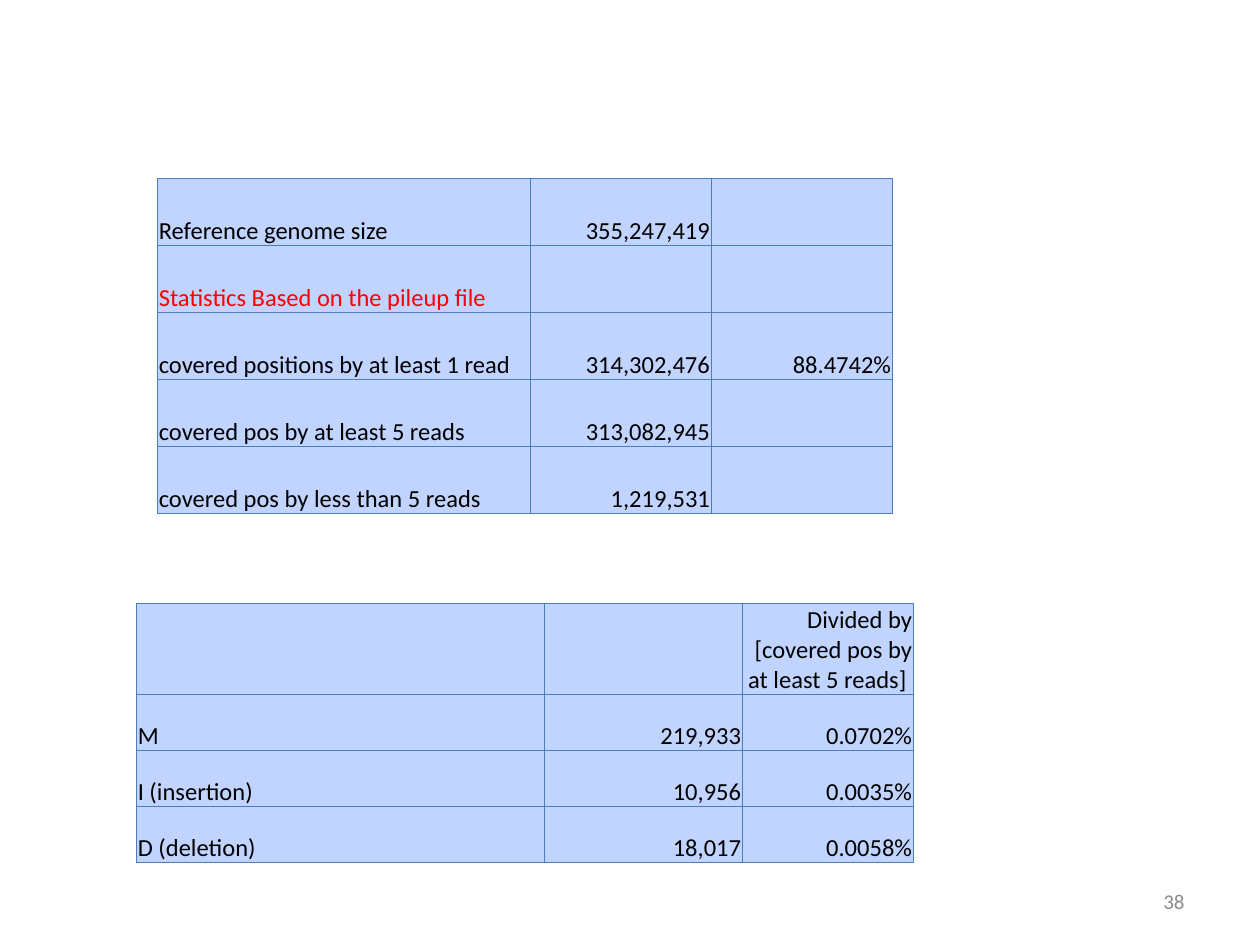
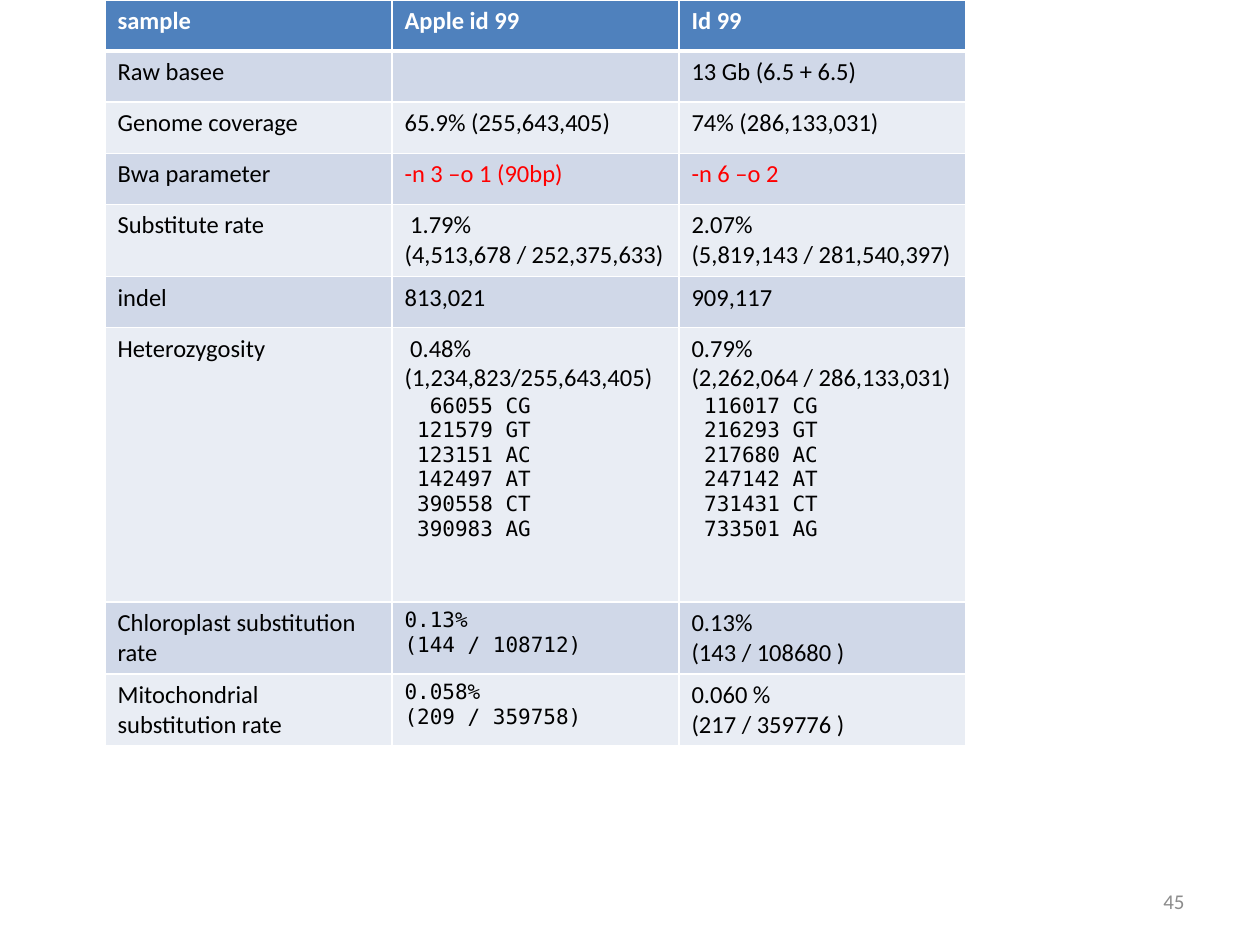
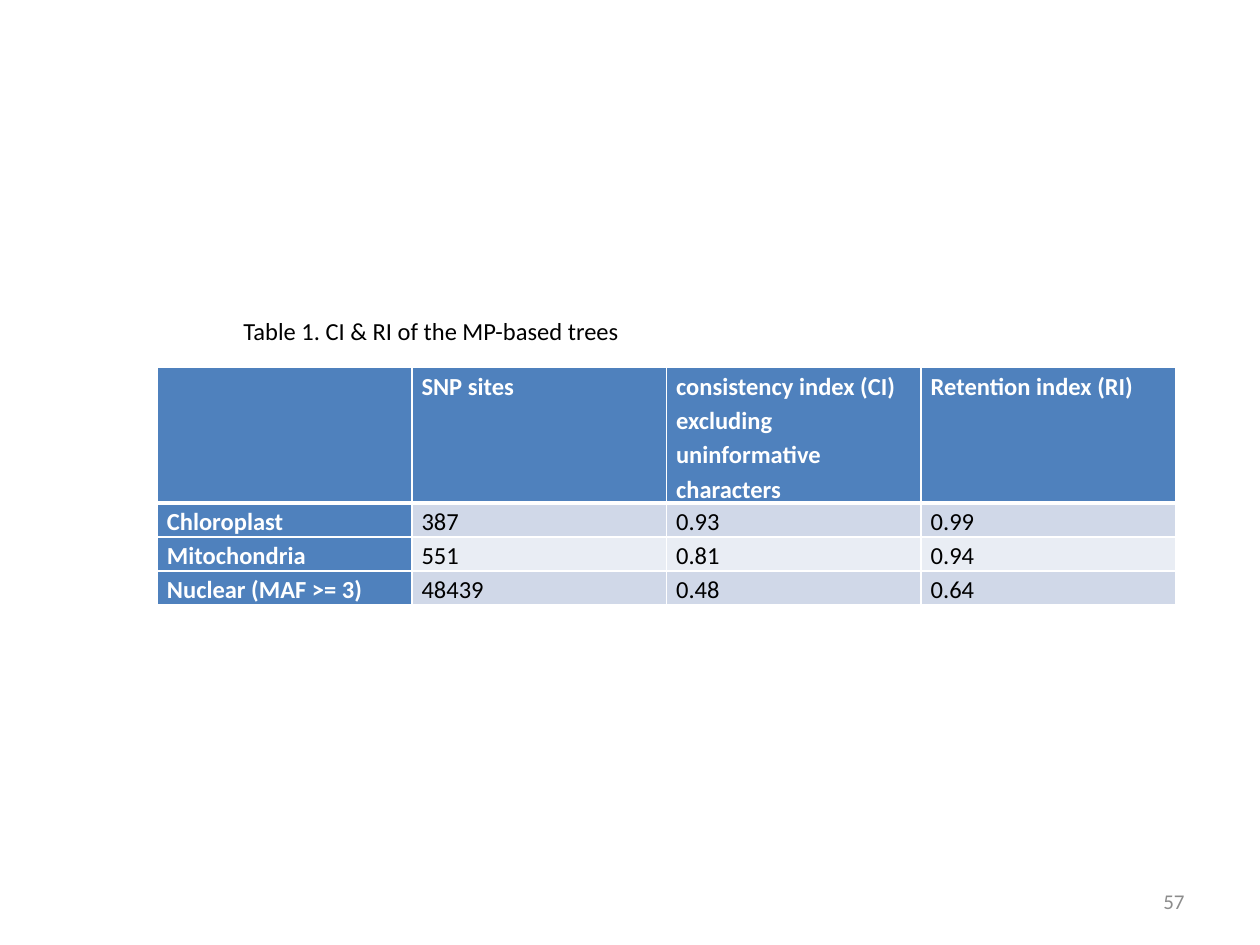
import pptx
import pptx.util
import pptx.dml.color
import pptx.enum.text
import pptx.oxml.ns
import lxml.etree

Pt = pptx.util.Pt
RGB = pptx.dml.color.RGBColor.from_string
Align = pptx.enum.text.PP_ALIGN
Anchor = pptx.enum.text.MSO_ANCHOR
tag = pptx.oxml.ns.qn

HUE = {"ink": "000000", "white": "FFFFFF", "red": "FF0000", "grey": "8C8C8C",
       "head": "4F81BD", "dark": "D0D8E8", "light": "E9EDF4",
       "pale": "C0D4FF", "edge": "4B7EBC"}
MONO = 7.22  # width of one mono letter at 12 pt


def write(frame, text, hue="ink", bold=False, size=14, align=Align.LEFT, gap=None, mono=99):
    """Fill a frame line by line; lines from index mono on are monospaced."""
    for i, line in enumerate(text.split("\n")):
        para = frame.paragraphs[0] if i == 0 else frame.add_paragraph()
        para.alignment = align
        if gap:
            para.line_spacing = gap
        if i >= mono:
            lead = len(line) - len(line.lstrip())
            para._p.get_or_add_pPr().set("marL", str(Pt(MONO * lead)))
            line = line.lstrip()
        run = para.add_run()
        run.text = line
        run.font.name = "DejaVu Sans Mono" if i >= mono else "Calibri"
        run.font.size = Pt(12 if i >= mono else size)
        run.font.bold = bold
        run.font.color.rgb = RGB(HUE[hue])


def grid(slide, left, top, wide, high, rows, inset, anchor, edge, style):
    """Add a table; style(r, c) gives the fill and the text look of a cell."""
    table = slide.shapes.add_table(len(rows), len(wide), Pt(left), Pt(top),
                                   Pt(sum(wide)), Pt(sum(high))).table
    table.first_row = table.horz_banding = False
    for c, size in enumerate(wide):
        table.columns[c].width = Pt(size)
    for r, row in enumerate(rows):
        table.rows[r].height = Pt(high[r])
        for c, text in enumerate(row):
            cell = table.cell(r, c)
            fill, look = style(r, c)
            cell.fill.solid()
            cell.fill.fore_color.rgb = RGB(HUE[fill])
            cell.vertical_anchor = anchor
            (cell.margin_left, cell.margin_top,
             cell.margin_right, cell.margin_bottom) = [Pt(n) for n in inset]
            if text:
                write(cell.text_frame, text, **look)
            prop = cell._tc.get_or_add_tcPr()
            for i, side in enumerate(("lnL", "lnR", "lnT", "lnB")):
                thick = edge == "white" and (r, side) in ((0, "lnB"), (1, "lnT"))
                width = 3 if thick else 1 if edge == "white" else 0.75
                line = lxml.etree.Element(tag("a:" + side), w=str(Pt(width)))
                solid = lxml.etree.SubElement(line, tag("a:solidFill"))
                lxml.etree.SubElement(solid, tag("a:srgbClr"), val=HUE[edge])
                prop.insert(i, line)


deck = pptx.Presentation()
deck.slide_width, deck.slide_height = Pt(720), Pt(540)
slides = []
for number in ("38", "45", "57"):
    slide = deck.slides.add_slide(deck.slide_layouts[6])
    frame = slide.shapes.add_textbox(Pt(516), Pt(500.5), Pt(168), Pt(28.75)).text_frame
    frame.word_wrap = True
    frame.vertical_anchor = Anchor.MIDDLE
    write(frame, number, "grey", size=12, align=Align.RIGHT)
    slides.append(slide)
reads, sample, trees = slides

# Read coverage
cover = [
    ("Reference genome size", "355,247,419", ""),
    ("Statistics Based on the pileup file", "", ""),
    ("covered positions by at least 1 read", "314,302,476", "88.4742%"),
    ("covered pos by at least 5 reads", "313,082,945", ""),
    ("covered pos by less than 5 reads", "1,219,531", ""),
]
kinds = [
    ("", "", "Divided by [covered pos by at least 5 reads] "),
    ("M", "219,933", "0.0702%"),
    ("I (insertion)", "10,956", "0.0035%"),
    ("D (deletion)", "18,017", "0.0058%"),
]
for left, top, wide, high, rows, note in (
        (90, 102, (213, 103.5, 103.5), [38.3] * 5, cover, 1),
        (78, 344.8, (233, 113.3, 97.7), [52.2] + [32] * 3, kinds, None)):
    grid(reads, left, top, wide, high, rows, (0.75, 0.75, 0.75, 0), Anchor.BOTTOM, "edge",
         lambda r, c: ("pale", {"hue": "red" if r == note else "ink",
                                "align": Align.RIGHT if c else Align.LEFT}))

# Sample comparison
rows = [
    ("sample", "Apple id 99", "Id 99"),
    ("Raw basee", "", "13 Gb (6.5 + 6.5)"),
    ("Genome coverage", "65.9% (255,643,405)", "74% (286,133,031)"),
    ("Bwa parameter", "-n 3 –o 1 (90bp)", "-n 6 –o 2"),
    ("Substitute rate", " 1.79%\n(4,513,678 / 252,375,633)", "2.07%\n(5,819,143 / 281,540,397)"),
    ("indel", "813,021", "909,117"),
    ("Heterozygosity",
     " 0.48% (1,234,823/255,643,405)\n  66055 CG\n 121579 GT\n 123151 AC\n"
     " 142497 AT\n 390558 CT\n 390983 AG",
     "0.79%\n(2,262,064 / 286,133,031)\n 116017 CG\n 216293 GT\n 217680 AC\n"
     " 247142 AT\n 731431 CT\n 733501 AG"),
    ("Chloroplast substitution rate", "0.13%\n(144 / 108712)", "0.13%\n(143 / 108680 )"),
    ("Mitochondrial substitution rate", "0.058%\n(209 / 359758)", "0.060 %\n(217 / 359776 )"),
]
mono = {(6, 1): 1, (6, 2): 2, (7, 1): 0, (8, 1): 0}
high = [29.2] * 4 + [41.2, 29.2, 156.8, 41.2, 41.2]
grid(sample, 60, 0, [164] * 3, high, rows, (7.2, 3.6, 7.2, 3.6), Anchor.TOP, "white",
     lambda r, c: ("head" if r == 0 else "dark" if r % 2 else "light",
                   {"hue": "white" if r == 0 else "red" if r == 3 and c else "ink",
                    "bold": r == 0, "mono": mono.get((r, c), 99)}))

# Tree indices
rows = [
    ("", "SNP sites", "consistency index (CI) excluding uninformative characters",
     "Retention index (RI)"),
    ("Chloroplast", "387", "0.93", "0.99"),
    ("Mitochondria", "551", "0.81", "0.94"),
    ("Nuclear (MAF >= 3)", "48439", "0.48", "0.64"),
]
grid(trees, 90, 210, [145.5] * 4, [77.4] + [19.5] * 3, rows, (5.4, 0, 5.4, 0),
     Anchor.TOP, "white",
     lambda r, c: ("head" if r == 0 or c == 0 else "dark" if r % 2 else "light",
                   {"hue": "white" if r == 0 or c == 0 else "ink",
                    "bold": r == 0 or c == 0, "gap": 1.15}))
frame = trees.shapes.add_textbox(Pt(132), Pt(177), Pt(231), Pt(41)).text_frame
frame.word_wrap = False
write(frame, "Table 1. CI & RI of the MP-based trees")

deck.save("out.pptx")
